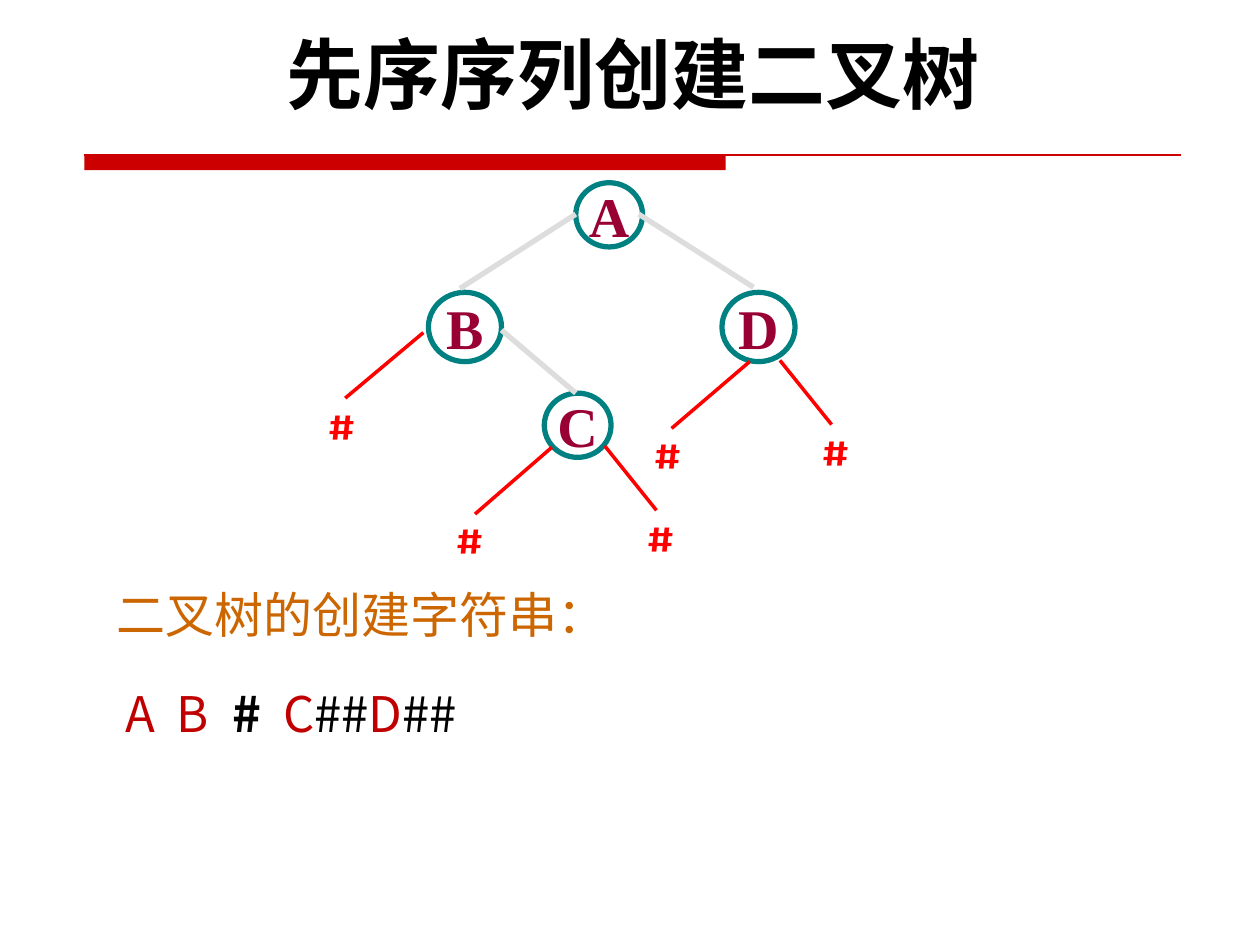
from lxml import etree
from pptx import Presentation
from pptx.dml.color import RGBColor
from pptx.enum.shapes import MSO_CONNECTOR, MSO_SHAPE
from pptx.enum.text import MSO_ANCHOR, PP_ALIGN
from pptx.oxml.ns import qn
from pptx.util import Inches, Pt

STRAIGHT = MSO_CONNECTOR.STRAIGHT
OVAL, RECTANGLE = MSO_SHAPE.OVAL, MSO_SHAPE.RECTANGLE
MIDDLE = MSO_ANCHOR.MIDDLE
CENTER, LEFT = PP_ALIGN.CENTER, PP_ALIGN.LEFT

COLORS = {
    "white": "FFFFFF", "black": "000000", "rule": "CC0000", "ring": "008080",
    "letter": "990033", "branch": "DDDDDD", "null": "FF0000",
    "heading": "CC6600", "value": "C00000",
}
SANS, SERIF, KARLA = "Noto Sans CJK SC", "Times New Roman", "Karla"


def write(shape, spans, size, font, bold=False, align=LEFT, spacing=None):
    """Fill the first paragraph of a shape with (text, color name) spans."""
    para = shape.text_frame.paragraphs[0]
    para.alignment = align
    if spacing:
        para.line_spacing = spacing
    for text, color in spans:
        span = para.add_run()
        span.text = text
        span.font.size = Pt(size)
        span.font.bold = bold
        span.font.name = font
        span.font.color.rgb = RGBColor.from_string(COLORS[color])
        east_asian = etree.SubElement(span.font._element, qn("a:ea"))
        east_asian.set("typeface", font)


def draw_line(start, end, color, width):
    line = page.shapes.add_connector(STRAIGHT, *map(Inches, start + end))
    line.line.color.rgb = RGBColor.from_string(COLORS[color])
    line.line.width = Pt(width)
    etree.SubElement(line._element.spPr, qn("a:effectLst"))


deck = Presentation()
deck.slide_width, deck.slide_height = Inches(10), Inches(7.5)
page = deck.slides.add_slide(deck.slide_layouts[6])

# Rule under the title
bar = page.shapes.add_shape(
    RECTANGLE, Inches(0.67), Inches(1.23), Inches(5.09), Inches(0.12))
bar.shadow.inherit = False
bar.fill.solid()
bar.fill.fore_color.rgb = RGBColor.from_string(COLORS["rule"])
bar.line.fill.background()
draw_line((0.67, 1.23), (9.37, 1.23), "rule", 0.75)

# Tree nodes
nodes = [
    ("A", 4.57, 1.45, 0.53, 0.51),
    ("B", 3.4, 2.32, 0.58, 0.55),
    ("C", 4.32, 3.12, 0.53, 0.51),
    ("D", 5.73, 2.32, 0.58, 0.55),
]
for letter, *bounds in nodes:
    node = page.shapes.add_shape(OVAL, *map(Inches, bounds))
    node.shadow.inherit = False
    node.fill.solid()
    node.fill.fore_color.rgb = RGBColor.from_string(COLORS["white"])
    node.line.color.rgb = RGBColor.from_string(COLORS["ring"])
    node.line.width = Pt(3)
    node.text_frame.word_wrap = False
    node.text_frame.vertical_anchor = MIDDLE
    write(node, [(letter, "letter")], 32, SERIF, bold=True, align=CENTER)

# Branches between nodes
branches = [
    ((4.57, 1.7), (3.65, 2.29)),
    ((5.07, 1.7), (5.98, 2.28)),
    ((3.98, 2.62), (4.57, 3.12)),
]
for start, end in branches:
    draw_line(start, end, "branch", 3)

# Empty children: branch start, branch end, left and top of the mark
null_children = [
    ((3.36, 2.64), (2.74, 3.16), (2.5, 3.12)),
    ((4.38, 3.55), (3.77, 4.08), (3.52, 4.03)),
    ((5.95, 2.87), (5.33, 3.4), (5.09, 3.35)),
    ((6.19, 2.86), (6.6, 3.37), (6.42, 3.33)),
    ((4.8, 3.54), (5.21, 4.05), (5.03, 4.01)),
]
for start, end, corner in null_children:
    draw_line(start, end, "null", 2)
    box = page.shapes.add_textbox(*map(Inches, corner + (0.63, 0.51)))
    box.text_frame.word_wrap = True
    write(box, [("#", "null")], 24, KARLA, bold=True)

# Heading and creation string
string_parts = [
    (0.83, 4.5, 8.58, False, [("二叉树的创建字符串：", "heading")]),
    (0.9, 5.28, 0.52, False, [("A", "value")]),
    (1.3, 5.28, 0.47, False, [("B", "value")]),
    (1.75, 5.28, 0.49, True, [("#", "black")]),
    (2.15, 5.28, 2.2, False, [("C", "value"), ("##", "black"),
                              ("D", "value"), ("##", "black")]),
]
for left, top, width, bold, spans in string_parts:
    box = page.shapes.add_textbox(
        Inches(left), Inches(top), Inches(width), Inches(0.59))
    box.text_frame.word_wrap = True
    write(box, spans, 28, SANS, bold=bold, spacing=1.2)

title = page.shapes.add_textbox(
    Inches(1.2), Inches(0.16), Inches(7.65), Inches(0.84))
title.text_frame.word_wrap = True
write(title, [("先序序列创建二叉树", "black")], 44, KARLA, bold=True, align=CENTER)

deck.save("out.pptx")
